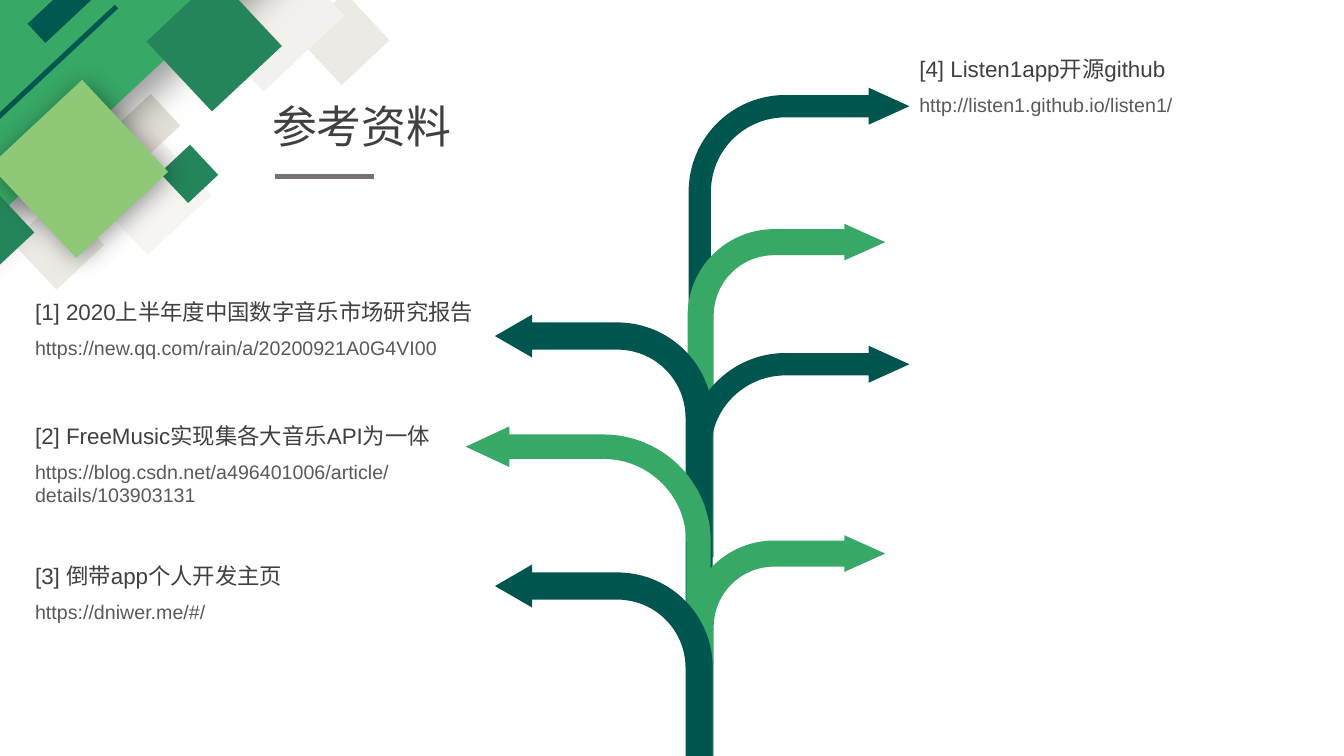
from lxml.etree import SubElement
from pptx import Presentation
from pptx.dml.color import RGBColor
from pptx.enum.shapes import MSO_CONNECTOR, MSO_SHAPE
from pptx.oxml.ns import qn
from pptx.util import Inches, Pt

FONT = "Arial"
DARK = RGBColor(0x00, 0x55, 0x4E)
STRIPE = RGBColor(0x00, 0x57, 0x4F)
GREEN = RGBColor(0x37, 0xA8, 0x66)
FOREST = RGBColor(0x24, 0x85, 0x5A)
LIGHT = RGBColor(0x8F, 0xC8, 0x77)
SAND = RGBColor(0xE7, 0xE4, 0xDD)
PALE = RGBColor(0xF2, 0xF1, 0xED)
TAUPE = RGBColor(0xD8, 0xD4, 0xC9)
TITLE = RGBColor(0x40, 0x40, 0x40)
BODY = RGBColor(0x59, 0x59, 0x59)
RULE = RGBColor(0x76, 0x71, 0x71)
TILT = 316.9

# Left, top, width, height, colour, opacity %, shadow (blur, distance, angle)
TILES = [
    (3.08, 0.06, 0.65, 0.65, SAND, 76, None),
    (2.09, -0.42, 1.1, 1.1, PALE, 100, None),
    (0.25, 2.09, 0.65, 0.65, SAND, 76, None),
    (1.05, 1.48, 0.87, 0.87, PALE, 67, None),
    (1.27, 1.02, 0.43, 0.43, TAUPE, 73, None),
    (-2.03, -1.36, 5.27, 2.46, GREEN, 100, (27, 16, 90)),
    (-1.63, 1.14, 3.22, 0.05, STRIPE, 100, None),
    (1.67, 1.52, 0.41, 0.41, FOREST, 100, None),
    (1.65, -0.04, 0.95, 0.95, FOREST, 100, None),
    (-0.48, 1.95, 0.68, 0.68, FOREST, 100, None),
    (0.16, 1.05, 1.25, 1.25, LIGHT, 100, (18, 3, 45)),
    (-0.08, -0.92, 3.28, 0.26, STRIPE, 100, None),
]

# Branch kinds: left, width, height, colour, mirrored, adjustments
BRANCHES = {
    "right dark": (6.83, 2.19, 2.93, DARK, False, (0.101, 0.084, 0.185, 0.438)),
    "right green": (6.82, 1.96, 3.31, GREEN, False, (0.132, 0.093, 0.207, 0.438)),
    "left dark": (4.91, 2.16, 3.12, DARK, True, (0.125, 0.099, 0.171, 0.438)),
    "left green": (4.62, 2.43, 2.82, GREEN, True, (0.1, 0.083, 0.178, 0.438)),
}
# Branch kind and top, from back to front
TREE = [
    ("right dark", 0.87), ("right green", 2.22), ("left dark", 3.12),
    ("right dark", 3.43), ("right green", 5.31), ("left green", 4.23),
    ("left dark", 5.6),
]

# Left, top, title width, title, address
REFERENCES = [
    (0.25, 2.91, 4.66, "[1] 2020上半年度中国数字音乐市场研究报告",
     "https://new.qq.com/rain/a/20200921A0G4VI00"),
    (0.25, 4.14, 4.66, "[2] FreeMusic实现集各大音乐API为一体",
     "https://blog.csdn.net/a496401006/article/details/103903131"),
    (0.25, 5.53, 4.66, "[3] 倒带app个人开发主页", "https://dniwer.me/#/"),
    (9.02, 0.5, 4.3, "[4] Listen1app开源github",
     "http://listen1.github.io/listen1/"),
]


def add_text(s, text, x, y, w, h, size=14, color=BODY):
    box = s.shapes.add_textbox(Inches(x), Inches(y), Inches(w), Inches(h))
    tf = box.text_frame
    tf.word_wrap = True
    r = tf.paragraphs[0].add_run()
    r.text = text
    r.font.name, r.font.size = FONT, Pt(size)
    r.font.color.rgb = color


def add_solid(s, kind, x, y, w, h, color):
    sp = s.shapes.add_shape(kind, Inches(x), Inches(y), Inches(w), Inches(h))
    sp.shadow.inherit = False
    sp.fill.solid()
    sp.fill.fore_color.rgb = color
    sp.line.fill.background()
    return sp


def set_alpha(color_element, percent):
    SubElement(color_element, qn("a:alpha"), val=str(percent * 1000))


def add_shadow(sp, blur, distance, angle):
    effects = sp._element.spPr.find(qn("a:effectLst"))
    shadow = SubElement(effects, qn("a:outerShdw"), blurRad=str(Pt(blur)),
                        dist=str(Pt(distance)), dir=str(angle * 60000),
                        algn="ctr", rotWithShape="0")
    set_alpha(SubElement(shadow, qn("a:srgbClr"), val="000000"), 40)


def add_corner(s, x, y):
    """Tilted tiles in the corner at x, y."""
    for left, top, w, h, color, opacity, shadow in TILES:
        sp = add_solid(s, MSO_SHAPE.RECTANGLE, x + left, y + top, w, h, color)
        sp.rotation = TILT
        if opacity < 100:
            fill = sp._element.spPr.find(qn("a:solidFill"))
            set_alpha(fill[0], opacity)
        if shadow:
            add_shadow(sp, *shadow)


def add_heading(s, x, y, w, h):
    """Slide title with a short rule below."""
    add_text(s, "参考资料", x, y, w, h, size=32, color=TITLE)
    rule = s.shapes.add_connector(
        MSO_CONNECTOR.STRAIGHT, Inches(x + 0.13), Inches(y + 0.82),
        Inches(x + 1.11), Inches(y + 0.82))
    rule.line.color.rgb = RULE
    rule.line.width = Pt(3)
    SubElement(rule._element.spPr, qn("a:effectLst"))


def add_branch(s, name, y):
    """One bent arrow of the tree with its top at y."""
    x, w, h, color, mirrored, adjustments = BRANCHES[name]
    sp = add_solid(s, MSO_SHAPE.BENT_ARROW, x, y, w, h, color)
    for i, value in enumerate(adjustments):
        sp.adjustments[i] = value
    if mirrored:
        sp._element.spPr.find(qn("a:xfrm")).set("flipH", "1")


def add_reference(s, x, y, w, title, address):
    """Reference title with its web address below."""
    add_text(s, title, x, y, w, 0.37, size=16, color=TITLE)
    add_text(s, address, x, y + 0.37, 4.3, 0.34)


def main():
    prs = Presentation()
    prs.slide_width, prs.slide_height = Inches(13.33), Inches(7.5)
    s = prs.slides.add_slide(prs.slide_layouts[6])
    add_corner(s, 0, 0)
    add_heading(s, 2.6, 0.93, 4.07, 0.64)
    for name, top in TREE:
        add_branch(s, name, top)
    for reference in REFERENCES:
        add_reference(s, *reference)
    prs.save("out.pptx")


if __name__ == "__main__":
    main()
